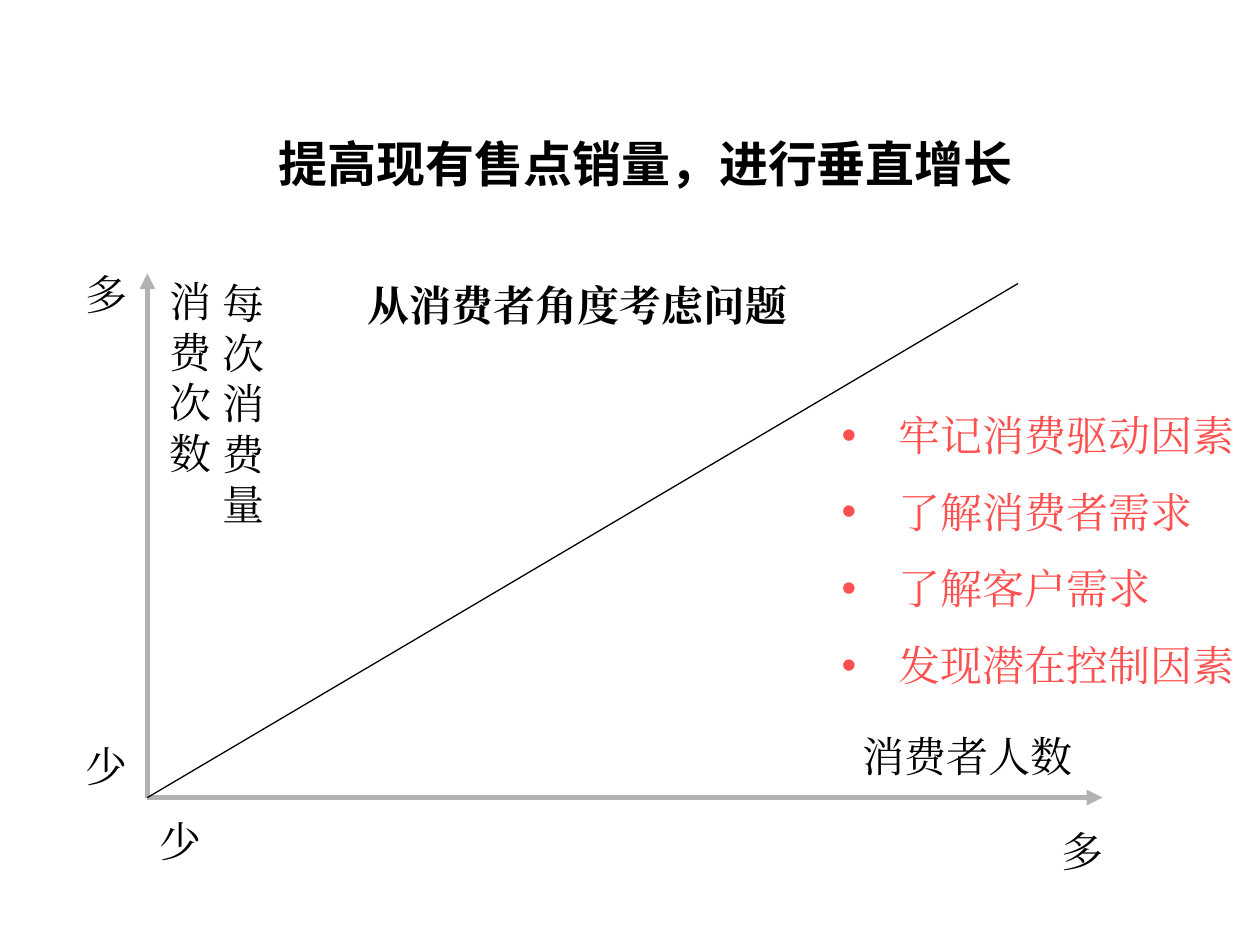
from dataclasses import dataclass

from lxml.etree import SubElement
from pptx import Presentation
from pptx.dml.color import RGBColor
from pptx.enum.shapes import MSO_CONNECTOR
from pptx.enum.text import MSO_ANCHOR, MSO_AUTO_SIZE, PP_ALIGN
from pptx.oxml.ns import qn
from pptx.shapes.base import BaseShape
from pptx.slide import Slide
from pptx.text.text import TextFrame, _Paragraph
from pptx.util import Inches, Pt

BLACK = RGBColor(0x00, 0x00, 0x00)
GRAY = RGBColor(0xB2, 0xB2, 0xB2)
RED = RGBColor(0xFF, 0x50, 0x50)
TEXT_FONT = "Times New Roman"
TITLE_FONT = "Noto Sans CJK SC"
ORIGIN = (1.17, 6.33)


@dataclass
class Line:
    end: tuple[float, float]
    color: RGBColor
    width: float
    arrow: bool = False


@dataclass
class Label:
    text: str
    left: float
    top: float
    width: float = 0.5
    height: float = 0.5
    bold: bool = False
    alignment: PP_ALIGN = PP_ALIGN.LEFT


LINES = [
    Line((1.17, 2.17), GRAY, 3, arrow=True),
    Line((8.75, 6.33), GRAY, 3, arrow=True),
    Line((8.08, 2.25), BLACK, 0.75),
]

# The narrow boxes hold one character per line, so their text runs downwards.
LABELS = [
    Label("消费者人数", 6.75, 5.75, width=2.17),
    Label("多", 8.33, 6.5),
    Label("少", 0.58, 5.83),
    Label("少", 1.17, 6.42),
    Label("多", 0.58, 2.08),
    Label("消费次数", 1.25, 2.14, height=1.7),
    Label("每次消费量", 1.67, 2.15, height=2.1),
    Label("从消费者角度考虑问题", 2, 2.17, width=5.17, bold=True,
          alignment=PP_ALIGN.CENTER),
]

TITLE = "提高现有售点销量，进行垂直增长"
ACTIONS = ["牢记消费驱动因素", "了解消费者需求", "了解客户需求", "发现潜在控制因素"]


def place(shape: BaseShape, left: float, top: float, width: float, height: float) -> None:
    shape.left, shape.top = Inches(left), Inches(top)
    shape.width, shape.height = Inches(width), Inches(height)


def prepare_frame(text_frame: TextFrame, anchor: MSO_ANCHOR = MSO_ANCHOR.TOP) -> None:
    text_frame.word_wrap = True
    text_frame.auto_size = MSO_AUTO_SIZE.NONE
    text_frame.vertical_anchor = anchor


def format_runs(paragraph: _Paragraph, font_name: str, size: float,
                color: RGBColor, bold: bool = False) -> None:
    """Format each run, using the font for East Asian characters too."""
    for run in paragraph.runs:
        run.font.name = font_name
        run.font.size = Pt(size)
        run.font.bold = bold
        run.font.color.rgb = color
        SubElement(run.font._element, qn("a:ea"), typeface=font_name)


def add_bullet(paragraph: _Paragraph, indent: float) -> None:
    properties = paragraph._p.get_or_add_pPr()
    properties.set("marL", str(Inches(indent)))
    properties.set("indent", str(-Inches(indent)))
    SubElement(properties, qn("a:buChar"), char="•")


def draw_line(slide: Slide, line: Line) -> None:
    points = [Inches(value) for value in (*ORIGIN, *line.end)]
    connector = slide.shapes.add_connector(MSO_CONNECTOR.STRAIGHT, *points)
    connector.line.color.rgb = line.color
    connector.line.width = Pt(line.width)
    if line.arrow:
        SubElement(connector.line._get_or_add_ln(), qn("a:tailEnd"), type="triangle")
    SubElement(connector._element.spPr, qn("a:effectLst"))


def draw_label(slide: Slide, label: Label) -> None:
    box = slide.shapes.add_textbox(Inches(label.left), Inches(label.top),
                                   Inches(label.width), Inches(label.height))
    prepare_frame(box.text_frame)
    box.text_frame.text = label.text
    paragraph = box.text_frame.paragraphs[0]
    paragraph.alignment = label.alignment
    format_runs(paragraph, TEXT_FONT, 24, BLACK, label.bold)


def fill_title(title: BaseShape) -> None:
    place(title, 0.75, 0.91, 8.75, 0.77)
    prepare_frame(title.text_frame, MSO_ANCHOR.MIDDLE)
    title.text_frame.text = TITLE
    paragraph = title.text_frame.paragraphs[0]
    paragraph.alignment = PP_ALIGN.CENTER
    format_runs(paragraph, TITLE_FONT, 28, BLACK, bold=True)


def fill_actions(body: BaseShape) -> None:
    place(body, 6.58, 3.2, 3.33, 2.33)
    text_frame = body.text_frame
    prepare_frame(text_frame)
    text_frame.margin_right = Inches(0.05)
    text_frame.text = "\n".join(ACTIONS)
    for index, paragraph in enumerate(text_frame.paragraphs):
        paragraph.space_before = Pt(15 if index else 0)
        add_bullet(paragraph, 0.45)
        format_runs(paragraph, TEXT_FONT, 24, RED)


def main() -> None:
    presentation = Presentation()
    presentation.slide_width, presentation.slide_height = Inches(10), Inches(7.5)
    slide = presentation.slides.add_slide(presentation.slide_layouts[1])
    for line in LINES:
        draw_line(slide, line)
    for label in LABELS:
        draw_label(slide, label)
    fill_actions(slide.placeholders[1])
    fill_title(slide.shapes.title)
    presentation.save("out.pptx")


if __name__ == "__main__":
    main()
